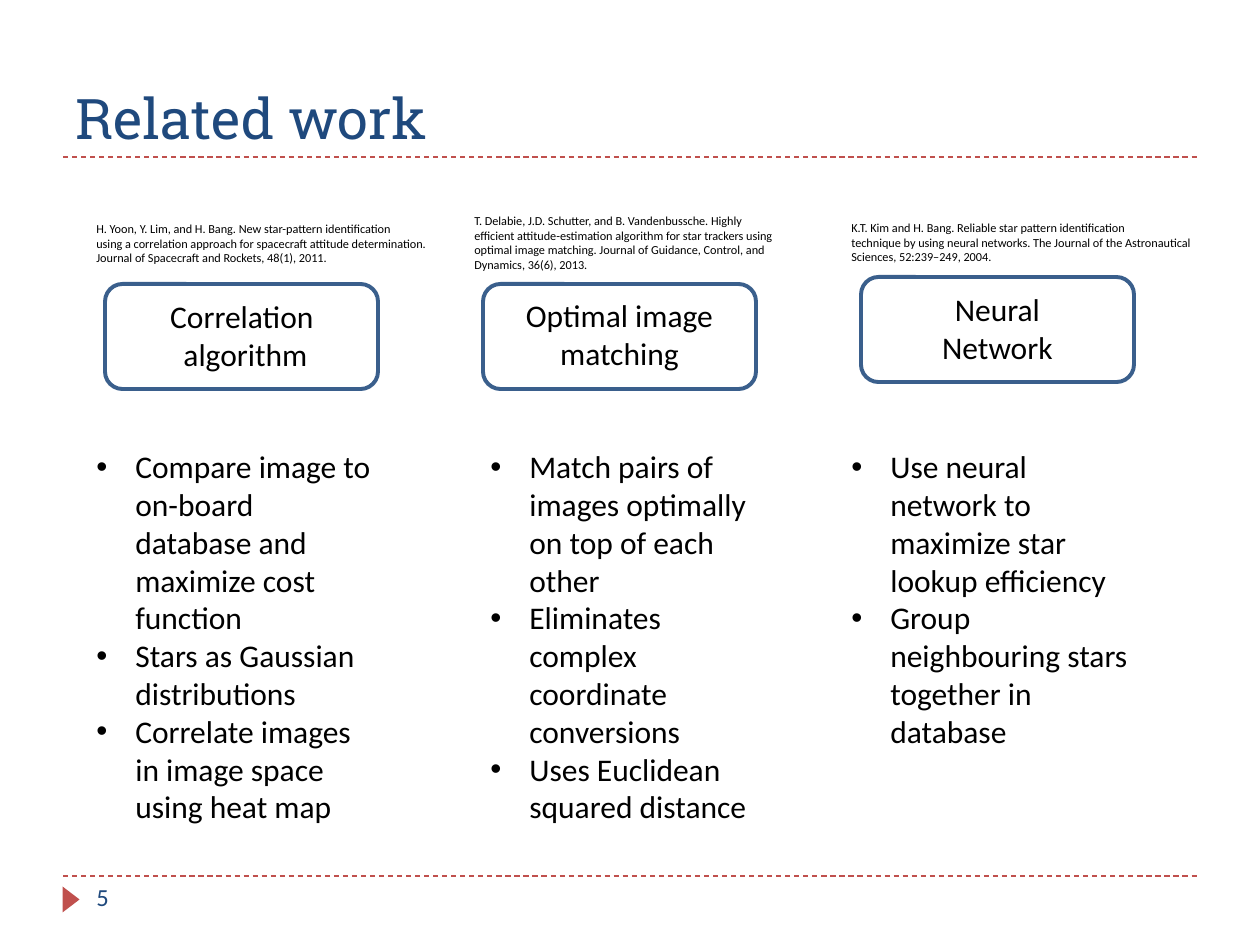
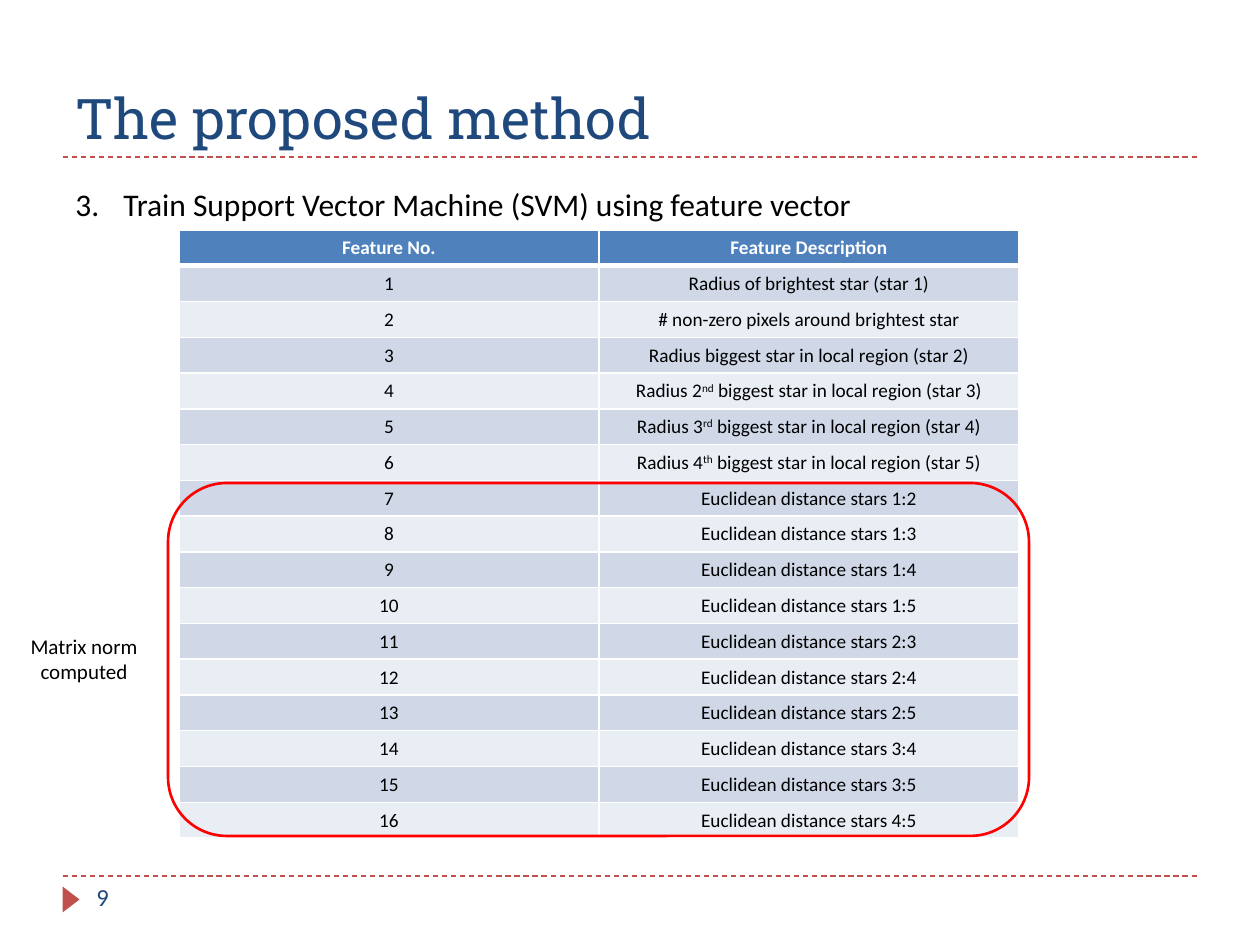
"""Build two slides on star identification: related work and the feature vector."""
from dataclasses import dataclass
from itertools import combinations

from lxml.etree import SubElement
from pptx import Presentation
from pptx.dml.color import RGBColor
from pptx.enum.dml import MSO_LINE
from pptx.enum.shapes import MSO_CONNECTOR, MSO_SHAPE as SHAPE
from pptx.enum.text import MSO_ANCHOR as ANCHOR, MSO_AUTO_SIZE as FIT, PP_ALIGN as ALIGN
from pptx.oxml.ns import qn
from pptx.util import Pt

SCALE = 914400 / 126


@dataclass(frozen=True)
class Theme:
    """Colours, fonts and type sizes of the deck."""
    navy: str = "1F497D"
    red: str = "C0504D"
    highlight: str = "FF0000"
    outline: str = "3A5F8C"
    header: str = "4F81BD"
    bands: tuple = ("D0D8E8", "E9EDF4")
    black: str = "000000"
    white: str = "FFFFFF"
    heading_font: str = "Roboto Slab"
    body_font: str = "Calibri"
    title: int = 32
    body: int = 18
    number: int = 14
    note: int = 12
    cell: int = 11
    citation: int = 7


def px(*lengths):
    """Turn pixels into EMU."""
    return [round(length * SCALE) for length in lengths]


def rgb(colour):
    """Turn a hex string into a colour."""
    return RGBColor.from_string(colour)


def apply(target, values):
    """Set attributes from a dict."""
    for name, value in values.items():
        setattr(target, name, value)


class Deck:
    """Hold the style and the current slide, and draw each kind of element."""

    def __init__(self, theme):
        """Start an empty presentation."""
        self.theme = theme
        self.presentation = Presentation()
        width, height = px(1260, 945)
        apply(self.presentation, {"slide_width": width, "slide_height": height})
        self.slide = None

    def start(self, title, number):
        """Add a slide with its rules, marker, title and number."""
        theme = self.theme
        self.slide = self.presentation.slides.add_slide(self.presentation.slide_layouts[6])
        for y in (876, 157):
            self.rule(y)
        marker = self.shape(SHAPE.ISOSCELES_TRIANGLE, (58, 891, 26, 17), fill=theme.red)
        marker.rotation = 90
        self.text((63, 21, 1134, 136), [title], theme.title, theme.navy, theme.heading_font,
                  auto_size=FIT.NONE, vertical_anchor=ANCHOR.BOTTOM)
        self.text((84, 876, 273, 50), [str(number)], theme.number, theme.navy,
                  auto_size=FIT.NONE)

    def rule(self, y):
        """Draw a dashed rule across the slide."""
        connector = self.slide.shapes.add_connector(
            MSO_CONNECTOR.STRAIGHT, *px(63, y, 1197, y))
        connector.line.color.rgb = rgb(self.theme.red)
        apply(connector.line, {"width": Pt(0.75), "dash_style": MSO_LINE.DASH})
        SubElement(connector._element.spPr, qn("a:effectLst"))

    def shape(self, kind, box, fill=None, line=None, width=0):
        """Draw a preset shape, filled or outlined."""
        shape = self.slide.shapes.add_shape(kind, *px(*box))
        shape.shadow.inherit = False
        for part, colour in ((shape.fill, fill), (shape.line.fill, line)):
            if colour:
                part.solid()
                part.fore_color.rgb = rgb(colour)
            else:
                part.background()
        if line:
            shape.line.width = Pt(width)
        return shape

    def add_runs(self, paragraph, text, size, colour, font=None, bold=False, align=ALIGN.LEFT):
        """Fill a paragraph, with carets around superscripts."""
        paragraph.alignment = align
        for row, line in enumerate(text.split("\n")):
            if row:
                paragraph.add_line_break()
            for index, piece in enumerate(line.split("^")):
                run = paragraph.add_run()
                run.text = piece
                apply(run.font, {"name": font or self.theme.body_font,
                                 "size": Pt(size), "bold": bold})
                run.font.color.rgb = rgb(colour)
                if index % 2:
                    run._r.get_or_add_rPr().set("baseline", "30000")

    def text(self, box, lines, size, colour=None, font=None, align=ALIGN.LEFT, **frame):
        """Add a text box with one paragraph per line."""
        text_frame = self.slide.shapes.add_textbox(*px(*box)).text_frame
        apply(text_frame, {"word_wrap": True, "auto_size": FIT.SHAPE_TO_FIT_TEXT, **frame})
        for index, line in enumerate(lines):
            paragraph = text_frame.add_paragraph() if index else text_frame.paragraphs[0]
            self.add_runs(paragraph, line, size, colour or self.theme.black, font, align=align)
        return text_frame.paragraphs

    def bullets(self, box, lines, indent=39, tag="a:buChar", **marker):
        """Add a list with hanging bullets or numbers."""
        left, = px(indent)
        for paragraph in self.text(box, lines, self.theme.body):
            properties = paragraph._p.get_or_add_pPr()
            for name, value in {"marL": left, "indent": -left}.items():
                properties.set(name, str(value))
            if not marker:
                SubElement(properties, qn("a:buFont"), typeface="Arial")
            SubElement(properties, qn(tag), **(marker or {"char": "•"}))

    def cell(self, cell, text, fill, colour, bold, bottom):
        """Style and fill one table cell."""
        properties = cell._tc.get_or_add_tcPr()
        for side, width in {"L": 1, "R": 1, "T": 1, "B": bottom}.items():
            border = SubElement(properties, qn(f"a:ln{side}"), w=str(int(Pt(width))))
            SubElement(SubElement(border, qn("a:solidFill")), qn("a:srgbClr"),
                       val=self.theme.white)
        cell.fill.solid()
        cell.fill.fore_color.rgb = rgb(fill)
        self.add_runs(cell.text_frame.paragraphs[0], text, self.theme.cell, colour,
                      bold=bold, align=ALIGN.CENTER)

    def table(self, box, rows, row_height):
        """Add a banded table whose first row is the header."""
        theme = self.theme
        table = self.slide.shapes.add_table(len(rows), len(rows[0]), *px(*box)).table
        table.horz_banding = False
        for index, values in enumerate(rows):
            table.rows[index].height, = px(row_height)
            if index:
                style = (theme.bands[(index - 1) % 2], theme.black, False, 1)
            else:
                style = (theme.header, theme.white, True, 3)
            for column, value in enumerate(values):
                self.cell(table.cell(index, column), value, *style)


METHODS = [
    {"citation": (84, 215, 630, 57), "frame_top": 284, "label": (88, 291), "list": 84,
     "source": ["H. Yoon, Y. Lim, and H. Bang. New star-pattern identification",
                "using a correlation approach for spacecraft attitude determination.",
                "Journal of Spacecraft and Rockets, 48(1), 2011."],
     "name": "Correlation \nalgorithm",
     "points": ["Compare image to on-board database and maximize cost function",
                "Stars as Gaussian distributions",
                "Correlate images in image space using heat map"]},
    {"citation": (462, 207, 630, 72), "frame_top": 284, "label": (462, 290), "list": 478,
     "source": ["T. Delabie, J.D. Schutter, and B. Vandenbussche. Highly",
                "efficient attitude-estimation algorithm for star trackers using",
                "optimal image matching. Journal of Guidance, Control, and",
                "Dynamics, 36(6), 2013."],
     "name": "Optimal image\nmatching",
     "points": ["Match pairs of images optimally on top of each other",
                "Eliminates complex coordinate conversions",
                "Uses Euclidean squared distance"]},
    {"citation": (839, 214, 630, 57), "frame_top": 277, "label": (840, 284), "list": 839,
     "source": ["K.T. Kim and H. Bang. Reliable star pattern identification",
                "technique by using neural networks. The Journal of the Astronautical",
                "Sciences, 52:239–249, 2004."],
     "name": "Neural\nNetwork",
     "points": ["Use neural network to maximize star lookup efficiency",
                "Group neighbouring stars together in database"]},
]

FEATURES = [
    "Radius of brightest star (star 1)",
    "# non-zero pixels around brightest star",
    "Radius biggest star in local region (star 2)",
    *(f"Radius {rank}^{suffix}^ biggest star in local region (star {rank + 1})"
      for rank, suffix in ((2, "nd"), (3, "rd"), (4, "th"))),
    *(f"Euclidean distance stars {first}:{second}"
      for first, second in combinations(range(1, 6), 2)),
]


def related_work(deck):
    """Compare three earlier methods in columns."""
    theme = deck.theme
    deck.start("Related work", 5)
    for column, method in enumerate(METHODS):
        deck.shape(SHAPE.ROUNDED_RECTANGLE, (105 + 378 * column, method["frame_top"], 273, 105),
                   line=theme.outline, width=2.25)
        deck.text((*method["label"], 315, 89), [method["name"]], theme.body,
                  align=ALIGN.CENTER)
        deck.text(method["citation"], method["source"], theme.citation)
        deck.bullets((method["list"], 441, 304, 357), method["points"])


def proposed_method(deck):
    """List the features and mark the distances."""
    theme = deck.theme
    deck.start("The proposed method", 9)
    deck.bullets((63, 179, 1134, 50),
                 ["Train Support Vector Machine (SVM) using feature vector"],
                 indent=48, tag="a:buAutoNum", type="arabicPeriod", startAt="3")
    rows = [("Feature No.", "Feature Description")]
    rows += [(str(number), feature) for number, feature in enumerate(FEATURES, 1)]
    deck.table((179, 230, 840, 607), rows, 32)
    deck.shape(SHAPE.ROUNDED_RECTANGLE, (168, 483, 861, 353), line=theme.highlight, width=1.5)
    deck.text((16, 627, 136, 63), ["Matrix norm computed"], theme.note, align=ALIGN.CENTER)


deck = Deck(Theme())
related_work(deck)
proposed_method(deck)
deck.presentation.save("out.pptx")
